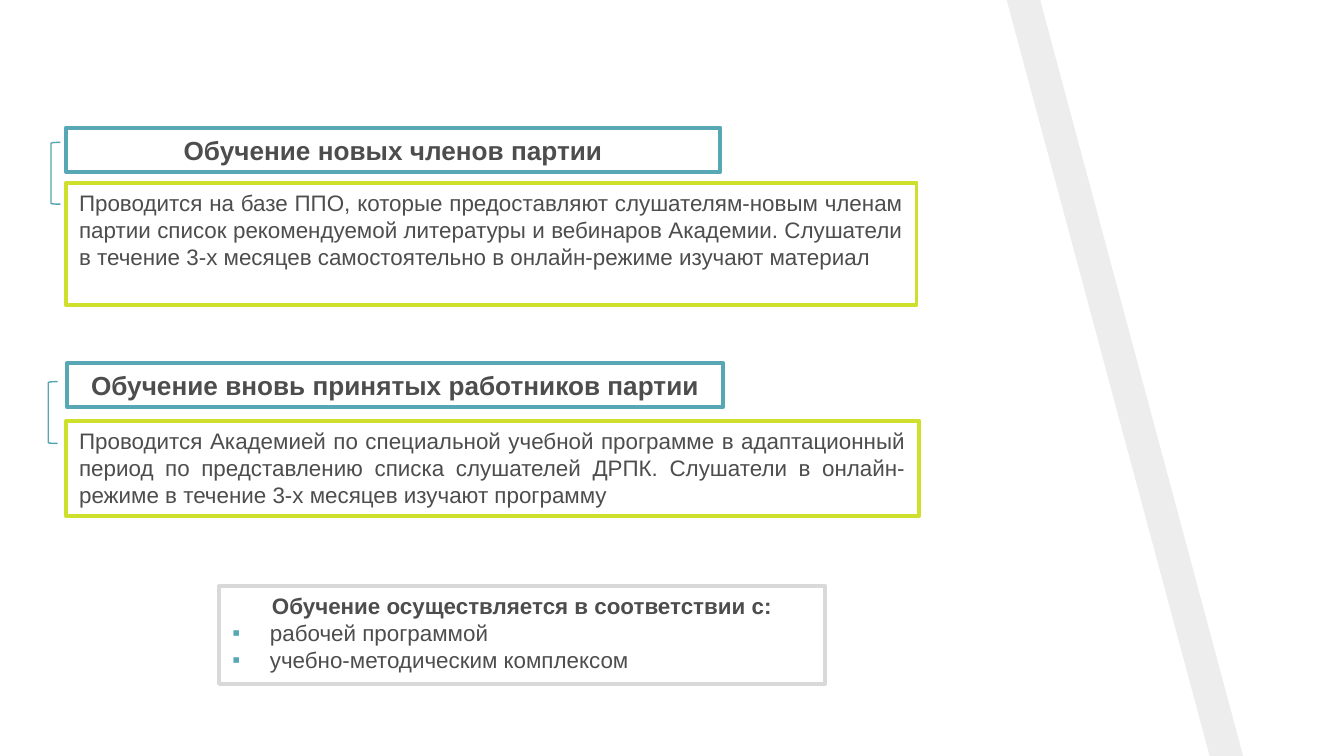
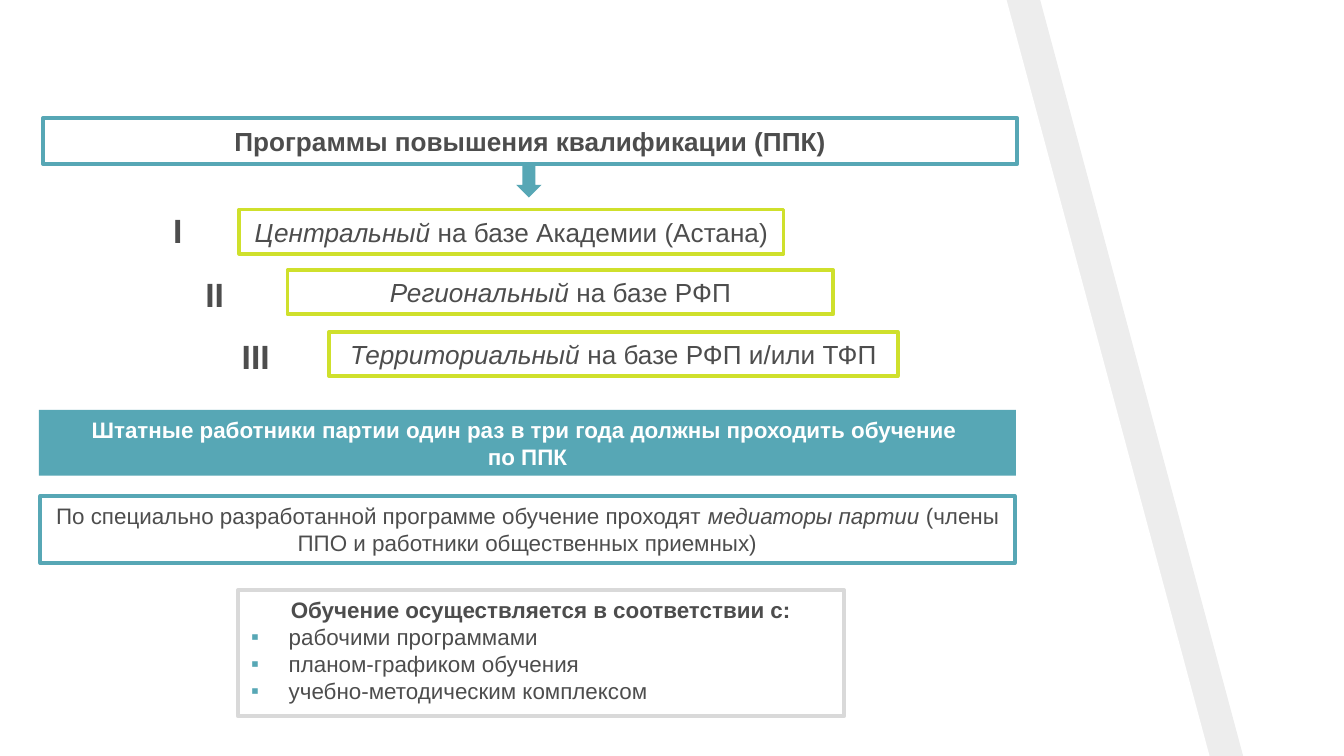
from pptx import Presentation
from pptx.util import Inches, Pt
from pptx.dml.color import RGBColor
from pptx.enum.shapes import MSO_SHAPE as Shape
from pptx.enum.text import PP_ALIGN as Align, MSO_ANCHOR as Anchor
from pptx.oxml.ns import qn
from lxml.etree import SubElement

TEAL = RGBColor(0x57, 0xA7, 0xB5)
EDGE = RGBColor(0x53, 0xA5, 0xB3)
LIME = RGBColor(0xCF, 0xE0, 0x2C)
GREY = RGBColor(0xD9, 0xD9, 0xD9)
INK = RGBColor(0x4D, 0x4D, 0x4D)
WHITE = RGBColor(0xFF, 0xFF, 0xFF)
BLACK = RGBColor(0x00, 0x00, 0x00)
FONT = "Arial"
WIDE = 10
HIGH = WIDE * 9 / 16

deck = Presentation()
deck.slide_width, deck.slide_height = Inches(WIDE), Inches(HIGH)


def paint(shape, fill=None, line=None, width=2):
    """Set fill and outline; None means there is none."""
    shape.shadow.inherit = False
    if fill is None:
        shape.fill.background()
    else:
        shape.fill.solid()
        shape.fill.fore_color.rgb = fill
    if line is None:
        shape.line.fill.background()
    else:
        shape.line.color.rgb = line
        shape.line.width = Pt(width)


def write(shape, text, size=12, bold=False, color=INK, align=Align.CENTER,
          anchor=Anchor.MIDDLE, items=(), wrap=True):
    """Write lines of text, *italic* between stars, then bulleted items."""
    frame = shape.text_frame
    frame.word_wrap = wrap
    frame.vertical_anchor = anchor
    heads = text.split("\n")
    for n, line in enumerate([*heads, *items]):
        para = frame.paragraphs[0] if n == 0 else frame.add_paragraph()
        item = n >= len(heads)
        para.alignment = Align.LEFT if item else align
        if item:
            props = para._p.get_or_add_pPr()
            props.set("marL", str(Inches(0.28)))
            props.set("indent", str(-Inches(0.28)))
            tint = SubElement(props, qn("a:buClr"))
            SubElement(tint, qn("a:srgbClr")).set("val", str(TEAL))
            SubElement(props, qn("a:buFont")).set("typeface", FONT)
            SubElement(props, qn("a:buChar")).set("char", "▪")
        for k, part in enumerate(line.split("*")):
            if part:
                run = para.add_run()
                run.text = part
                font = run.font
                font.name, font.size = FONT, Pt(size)
                font.bold = bold and not item
                font.italic = k % 2 == 1
                font.color.rgb = color


# Both slides: slanted band, a tinted sheet under a white one
pages = []
for _ in range(2):
    page = deck.slides.add_slide(deck.slide_layouts[6])
    for left, tone in ((0.25, BLACK), (0, WHITE)):
        pen = page.shapes.build_freeform(Inches(left), 0)
        pen.add_line_segments([(Inches(left + x), Inches(y)) for x, y in
                               ((0, HIGH), (9, HIGH), (7.49, 0))])
        sheet = pen.convert_to_shape()
        paint(sheet, tone)
        if tone == BLACK:
            hue = sheet.fill._xPr.find(qn("a:solidFill"))[0]
            SubElement(hue, qn("a:alpha")).set("val", "7000")
    pages.append(page)
first, second = pages

# Framed boxes: slide, place, fill, line, text, format
TITLE = dict(size=14, bold=True)
BODY = dict(align=Align.JUSTIFY, anchor=Anchor.TOP)
LIST = dict(bold=True, anchor=Anchor.TOP)
BASIS = "Обучение осуществляется в соответствии с:"
boxes = [
    (first, (1.63, 4.36, 4.51, 0.73), WHITE, GREY, BASIS,
     dict(LIST, items=["рабочей программой", "учебно-методическим комплексом"])),
    (first, (0.49, 0.95, 4.87, 0.33), WHITE, TEAL,
     "Обучение новых членов партии", TITLE),
    (first, (0.5, 2.7, 4.88, 0.33), WHITE, TEAL,
     "Обучение вновь принятых работников партии", TITLE),
    (first, (0.49, 1.36, 6.33, 0.91), WHITE, LIME,
     "Проводится на базе ППО, которые предоставляют слушателям-новым членам "
     "партии список рекомендуемой литературы и вебинаров Академии. Слушатели "
     "в течение 3-х месяцев самостоятельно в онлайн-режиме изучают материал",
     BODY),
    (first, (0.49, 3.13, 6.35, 0.71), WHITE, LIME,
     "Проводится Академией по специальной учебной программе в адаптационный "
     "период по представлению списка слушателей ДРПК. Слушатели в "
     "онлайн-режиме в течение 3-х месяцев изучают программу", BODY),
    (second, (0.29, 3.05, 7.27, 0.49), TEAL, None,
     "Штатные работники партии один раз в три года должны проходить обучение \n"
     "по ППК", dict(bold=True, color=WHITE)),
    (second, (0.3, 3.69, 7.25, 0.5), WHITE, TEAL,
     "По специально разработанной программе обучение проходят "
     "*медиаторы партии* (члены ППО и работники общественных приемных)",
     dict(anchor=Anchor.TOP)),
    (second, (1.77, 4.39, 4.51, 0.94), WHITE, GREY, BASIS,
     dict(LIST, items=["рабочими программами", "планом-графиком обучения",
                       "учебно-методическим комплексом"])),
    (second, (0.32, 0.88, 7.25, 0.34), WHITE, TEAL,
     "Программы повышения квалификации (ППК)", TITLE),
]
for page, place, fill, line, text, style in boxes:
    box = page.shapes.add_shape(Shape.RECTANGLE, *map(Inches, place))
    paint(box, fill, line)
    write(box, text, **style)

# Slide 1: brackets that tie each title to its text
for left, top in ((0.38, 1.06), (0.36, 2.84)):
    brace = first.shapes.add_shape(Shape.LEFT_BRACKET, Inches(left), Inches(top),
                                   Inches(0.07), Inches(0.46))
    paint(brace, None, EDGE, 0.75)

# Slide 2: three numbered levels, stepping to the right
levels = [
    (1.78, 1.56, 4.05, "*Центральный* на базе Академии (Астана)", 1.19, 1.51),
    (2.14, 2.01, 4.06, "*Региональный* на базе РФП", 1.43, 1.99),
    (2.45, 2.47, 4.23, "*Территориальный* на базе РФП и/или ТФП", 1.7, 2.45),
]
for n, (left, top, width, text, x, y) in enumerate(levels, 1):
    box = second.shapes.add_shape(Shape.RECTANGLE, Inches(left), Inches(top),
                                  Inches(width), Inches(0.33))
    paint(box, WHITE, LIME)
    write(box, text, size=14)
    mark = second.shapes.add_textbox(Inches(x), Inches(y),
                                     Inches(0.2 + 0.07 * n), Inches(0.4))
    write(mark, "I" * n, size=18, bold=True, align=Align.LEFT,
          anchor=Anchor.TOP, wrap=False)

# Slide 2: arrow from the title to the levels
arrow = second.shapes.add_shape(Shape.DOWN_ARROW, Inches(3.84), Inches(1.22),
                                Inches(0.19), Inches(0.25))
paint(arrow, TEAL)

deck.save("out.pptx")
